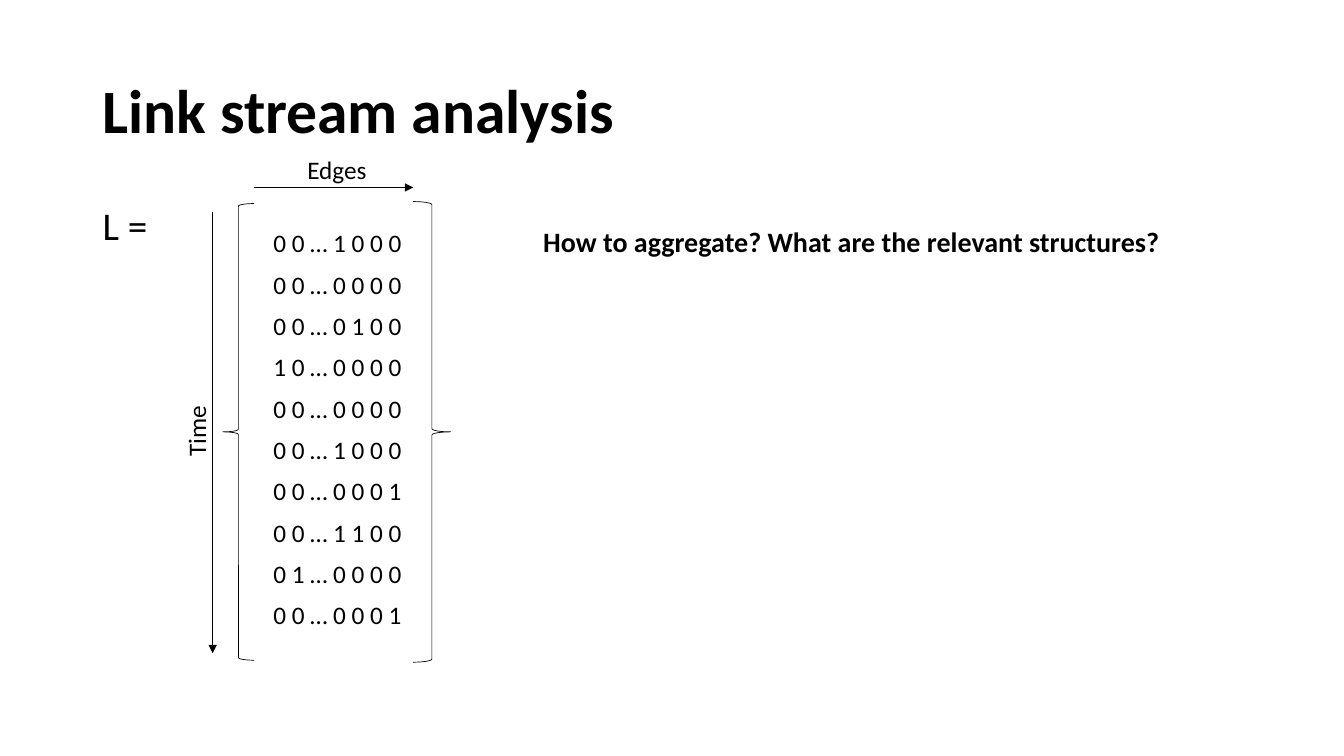
from lxml.etree import SubElement
from pptx import Presentation
from pptx.dml.color import RGBColor
from pptx.enum.shapes import MSO_CONNECTOR, MSO_SHAPE
from pptx.enum.text import MSO_ANCHOR, MSO_AUTO_SIZE
from pptx.oxml.ns import qn
from pptx.util import Inches, Pt

HUES = {"ink": "000000", "page": "FFFFFF"}
COLS, ROWS = 40, 30
BITS = [
    "0 0 … 1 0 0 0",
    "0 0 … 0 0 0 0",
    "0 0 … 0 1 0 0",
    "1 0 … 0 0 0 0",
    "0 0 … 0 0 0 0",
    "0 0 … 1 0 0 0",
    "0 0 … 0 0 0 1",
    "0 0 … 1 1 0 0",
    "0 1 … 0 0 0 0",
    "0 0 … 0 0 0 1",
]


def apply(item, form):
    for key, value in form.items():
        setattr(item, key, value)


class Board:
    """Draw styled text, braces and arrows on a slide grid of 40 by 30."""

    def __init__(self, deck):
        self.font = "Calibri"
        self.ink = RGBColor.from_string(HUES["ink"])
        self.wide = deck.slide_width / COLS
        self.high = deck.slide_height / ROWS
        self.slide = deck.slides.add_slide(deck.slide_layouts[6])
        fill = self.slide.background.fill
        fill.solid()
        fill.fore_color.rgb = RGBColor.from_string(HUES["page"])

    def place(self, x, y, w, h):
        return [round(n) for n in
                (x * self.wide, y * self.high, w * self.wide, h * self.high)]

    def stroke(self, line):
        line.width = Pt(0.5)
        line.color.rgb = self.ink

    def text(self, words, spot, size=18, bold=False, turn=0, frame=None, para=None):
        box = self.slide.shapes.add_textbox(*self.place(*spot))
        box.rotation = turn
        look = {"word_wrap": True, "auto_size": MSO_AUTO_SIZE.SHAPE_TO_FIT_TEXT}
        apply(box.text_frame, look | (frame or {}))
        line = box.text_frame.paragraphs[0]
        apply(line, para or {})
        run = line.add_run()
        run.text = words
        apply(run.font, {"name": self.font, "size": Pt(size), "bold": bold})
        run.font.color.rgb = self.ink

    def brace(self, kind, spot):
        shape = self.slide.shapes.add_shape(kind, *self.place(*spot))
        shape.shadow.inherit = False
        shape.fill.background()
        self.stroke(shape.line)

    def arrow(self, x, y, across=0, down=0):
        ends = self.place(x, y, x + across, y + down)
        link = self.slide.shapes.add_connector(MSO_CONNECTOR.STRAIGHT, *ends)
        self.stroke(link.line)
        SubElement(link.line._get_or_add_ln(), qn("a:tailEnd"), type="triangle")
        SubElement(link._element.spPr, qn("a:effectLst"))


def main():
    deck = Presentation()
    apply(deck, {"slide_width": Inches(13.33), "slide_height": Inches(7.5)})
    board = Board(deck)
    fixed = {"auto_size": MSO_AUTO_SIZE.NONE}
    tight = {"line_spacing": 0.9}

    board.text("Link stream analysis", (2.76, 1.6, 34.5, 5.8), 44, True,
               frame=fixed | {"vertical_anchor": MSO_ANCHOR.MIDDLE}, para=tight)
    board.text("L =", (2.76, 8, 34.5, 19.04), 28, frame=fixed,
               para=tight | {"space_before": Pt(10)})

    board.brace(MSO_SHAPE.LEFT_BRACE, (6.63, 8.08, 0.93, 18.12))
    board.brace(MSO_SHAPE.RIGHT_BRACE, (12.3, 8, 1.11, 18.28))
    for i, bits in enumerate(BITS):
        board.text(bits, (7.84, 8.84 + 1.64 * i, 4.44, 1.6))

    board.text("Edges", (8.85, 5.92, 5.7, 1.6))
    board.text("Time", (4.77, 16.28, 2.13, 1.6), turn=270,
               frame={"word_wrap": False})
    board.arrow(7.56, 7.44, across=4.74)
    board.arrow(6.33, 8.4, down=17.52)

    board.text("How to aggregate? What are the relevant structures?",
               (15.87, 8.72, 21.06, 1.76), 20, True)
    deck.save("out.pptx")


if __name__ == "__main__":
    main()
